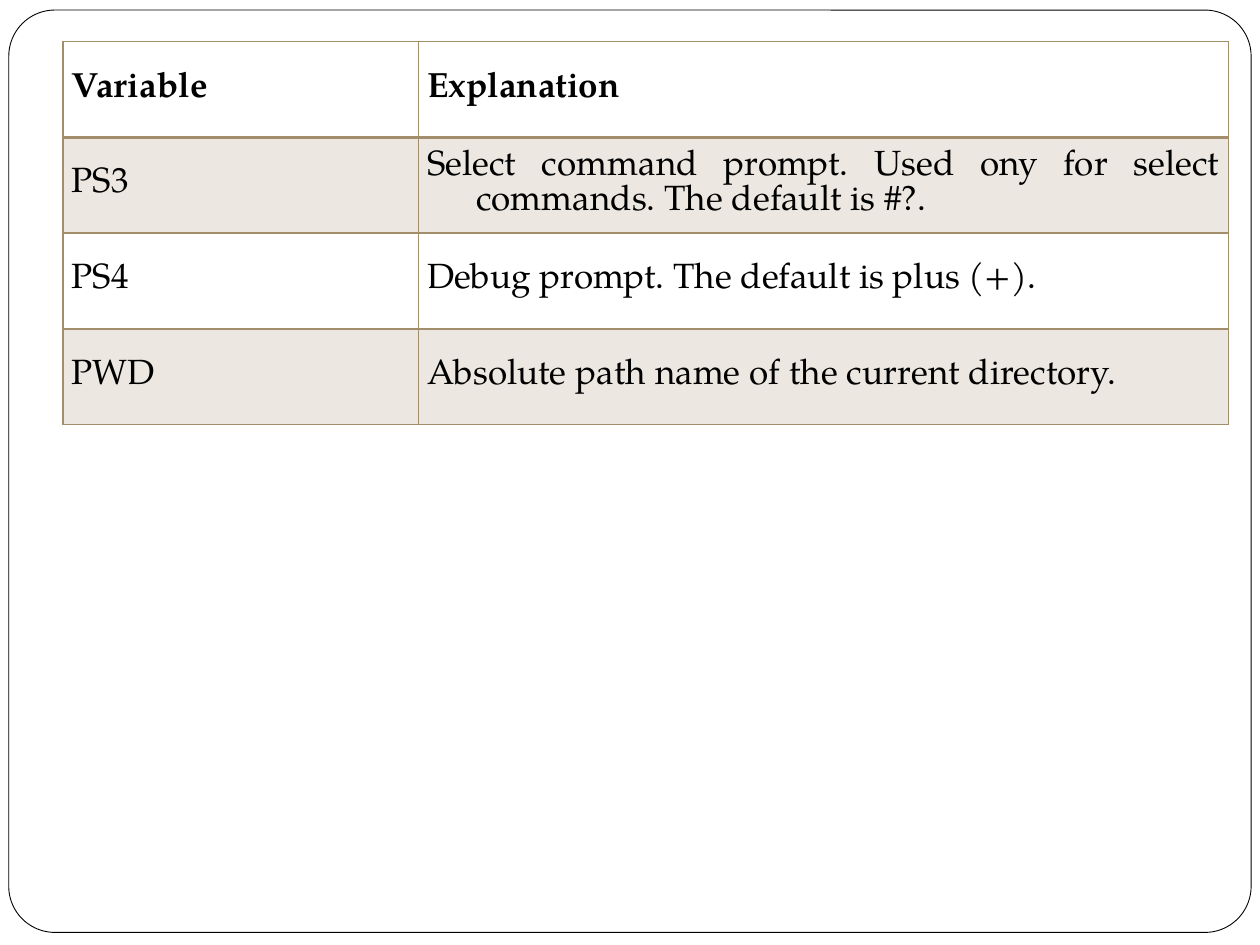
"""Build a slide with a table of shell variables inside a rounded frame."""
import pptx
import pptx.dml.color
import pptx.enum.shapes
import pptx.enum.text
import pptx.oxml
import pptx.oxml.ns
import pptx.util
from lxml import etree

ROWS = [
    ("Variable", "Explanation"),
    ("PS3", "Select command prompt. Used ony for select commands. The default is #?."),
    ("PS4", "Debug prompt. The default is plus (+)."),
    ("PWD", "Absolute path name of the current directory."),
]
COLS = (2.82, 6.43)
ROW_H = 0.76
INDENT = 0.39
FONT = "TeX Gyre Pagella"
TAN, BLACK, WHITE = "A28E6A", "000000", "FFFFFF"

inch = pptx.util.Inches
qn = pptx.oxml.ns.qn


def rgb(code):
    return pptx.dml.color.RGBColor.from_string(code)


def set_borders(cell, widths):
    tcPr = cell._tc.get_or_add_tcPr()
    for i, (side, width) in enumerate(widths.items()):
        ln = etree.Element(qn("a:" + side), w=str(pptx.util.Pt(width)))
        fill = etree.SubElement(ln, qn("a:solidFill"))
        etree.SubElement(fill, qn("a:srgbClr"), val=TAN)
        tcPr.insert(i, ln)


def set_fill(cell, banded):
    if not banded:
        cell.fill.background()
        return
    cell.fill.solid()
    cell.fill.fore_color.rgb = rgb(TAN)
    clr = cell._tc.tcPr.find(".//" + qn("a:solidFill") + "/" + qn("a:srgbClr"))
    etree.SubElement(clr, qn("a:alpha"), val="20000")


def set_text(cell, text, bold):
    cell.margin_left = cell.margin_right = inch(0.07)
    cell.margin_top = cell.margin_bottom = 0
    cell.vertical_anchor = pptx.enum.text.MSO_ANCHOR.MIDDLE
    p = cell.text_frame.paragraphs[0]
    p.alignment = pptx.enum.text.PP_ALIGN.JUSTIFY
    p.line_spacing = 1.0
    pPr = p._p.get_or_add_pPr()
    pPr.set("marL", str(inch(INDENT)))
    pPr.set("indent", str(-inch(INDENT)))
    r = p.add_run()
    r.text = text
    r.font.name = FONT
    r.font.size = pptx.util.Pt(20)
    r.font.bold = bold
    r.font.color.rgb = rgb(BLACK)


prs = pptx.Presentation()
prs.slide_width, prs.slide_height = inch(10), inch(7.5)
s = prs.slides.add_slide(prs.slide_layouts[6])

frame = s.shapes.add_shape(
    pptx.enum.shapes.MSO_SHAPE.ROUNDED_RECTANGLE,
    inch(0.07), inch(0.08), inch(9.86), inch(7.32))
frame.adjustments[0] = 0.05
frame.shadow.inherit = False
frame.fill.solid()
frame.fill.fore_color.rgb = rgb(WHITE)
frame.line.color.rgb = rgb(BLACK)
frame.line.width = pptx.util.Pt(0.5)

table = s.shapes.add_table(
    len(ROWS), len(COLS), inch(0.5), inch(0.33),
    inch(sum(COLS)), inch(ROW_H * len(ROWS))).table
table.horz_banding = False
for col, width in zip(table.columns, COLS):
    col.width = inch(width)

for i, row in enumerate(ROWS):
    table.rows[i].height = inch(ROW_H)
    for j, text in enumerate(row):
        cell = table.cell(i, j)
        set_text(cell, text, bold=i == 0)
        set_fill(cell, banded=i % 2 == 1)
        set_borders(cell, {"lnL": 1, "lnR": 1,
                           "lnT": 2 if i == 1 else 1,
                           "lnB": 2 if i == 0 else 1})

prs.save("out.pptx")
